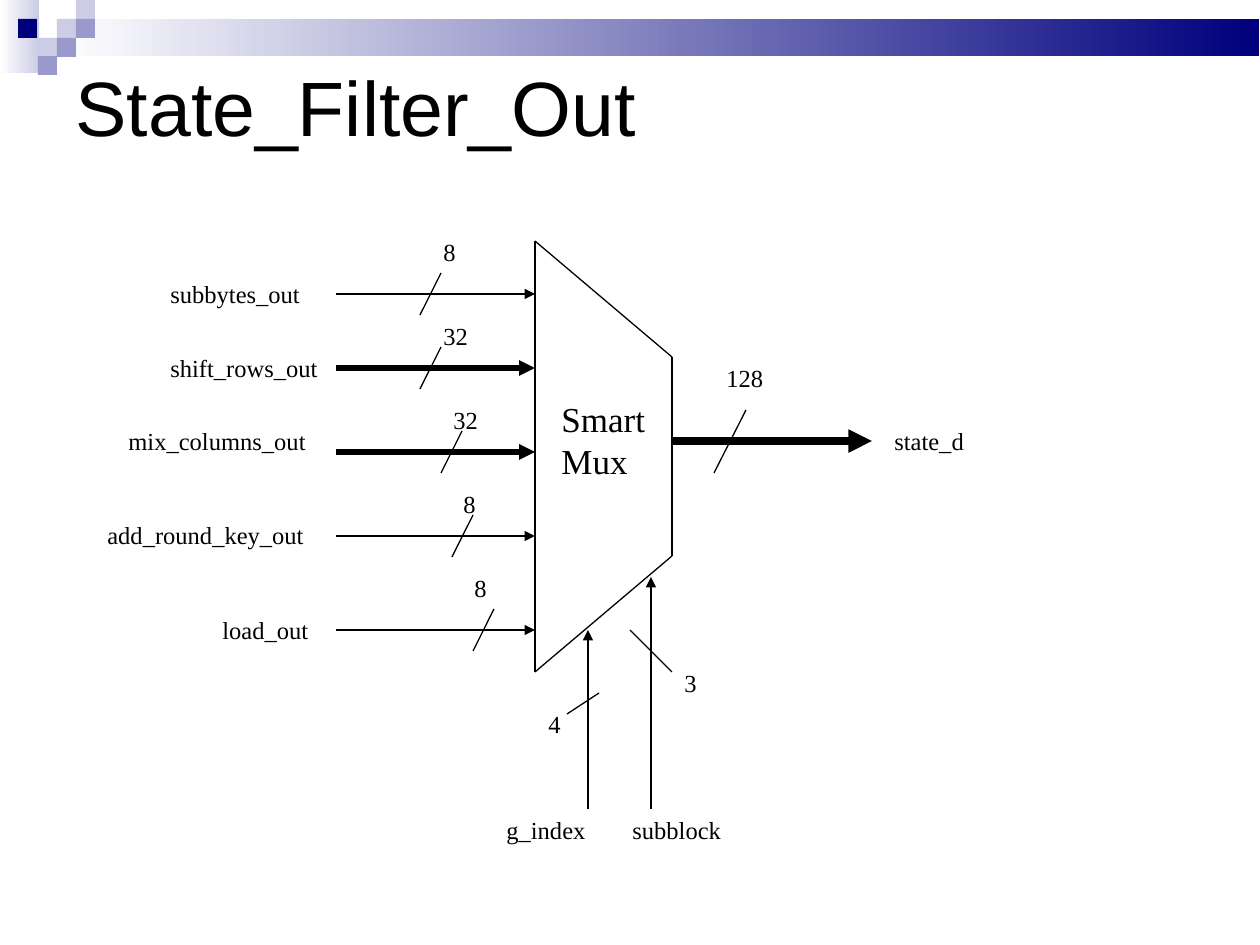
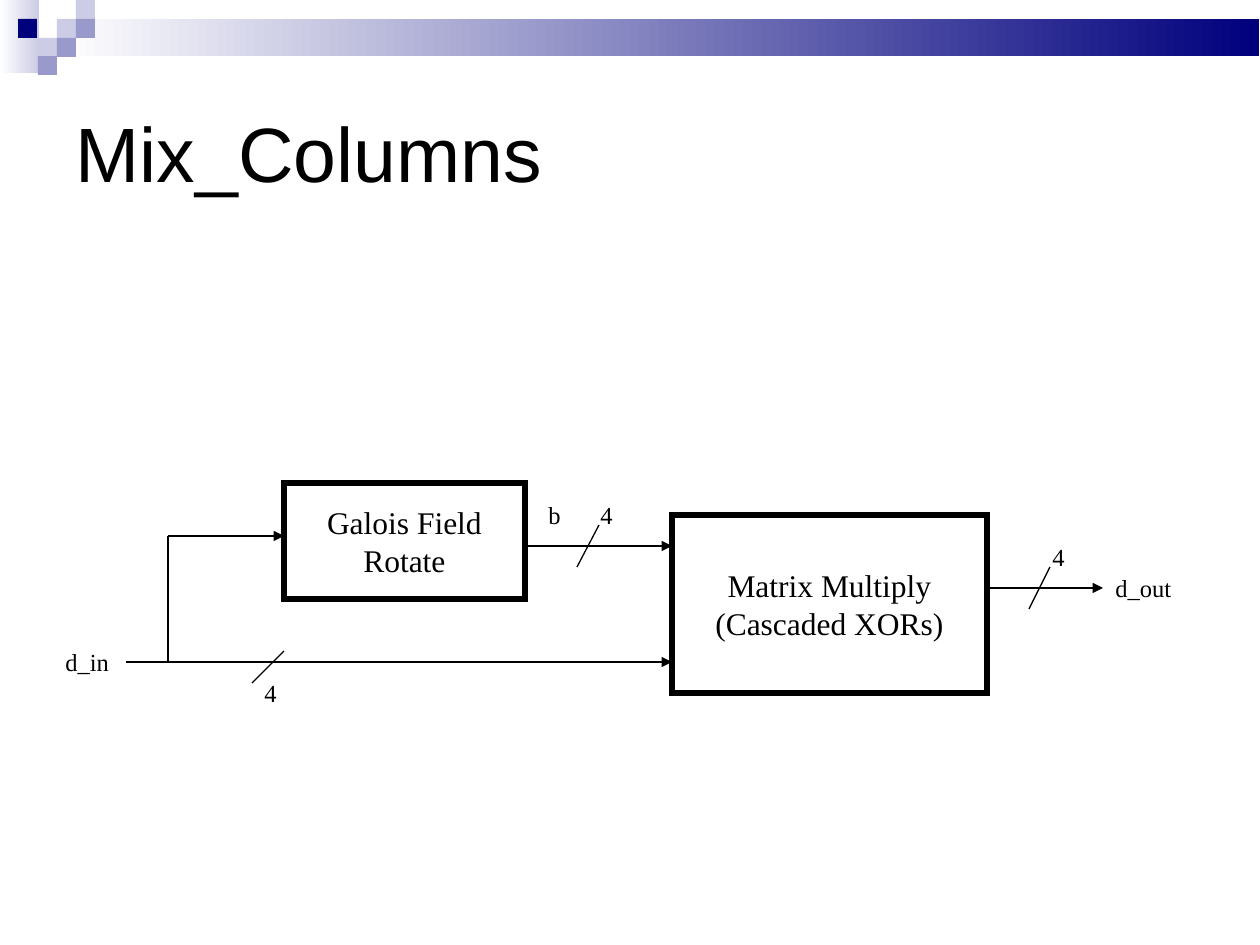
"""Builds two block-diagram slides: the State_Filter_Out mux and Mix_Columns."""
from lxml.etree import SubElement
from pptx import Presentation
from pptx.dml.color import RGBColor
from pptx.enum.shapes import MSO_CONNECTOR, MSO_SHAPE
from pptx.enum.text import MSO_ANCHOR, MSO_AUTO_SIZE, PP_ALIGN
from pptx.oxml.ns import qn
from pptx.util import Pt

PX = 914400 / 126
COLORS = {"ink": "000000", "paper": "FFFFFF", "navy": "00007D", "mid": "9999CC", "pale": "CCCCE6"}
TITLE_FONT, BODY_FONT = "Arial", "Times New Roman"
THIN, BUS, WIDE = 0.75, 3, 4.5
LABEL_H = 43
TILE = 19

FADES = [((0, 0, 39, 73), "pale"), ((57, 19, 1202, 37), "navy")]
TILES = [(57, 19, "pale"), (76, 0, "pale"), (76, 19, "mid"), (38, 38, "pale"),
         (18, 19, "navy"), (57, 38, "mid"), (38, 56, "mid")]

MUX_CORNERS = [(535, 241), (672, 357), (672, 556), (535, 672)]
MUX_INPUTS = [
    {"name": "subbytes_out", "at": (158, 273, 189), "y": 294, "slash": 441, "bits": "8", "bits_x": 431, "pt": THIN},
    {"name": "shift_rows_out", "at": (158, 347, 189), "y": 368, "slash": 441, "bits": "32", "bits_x": 431, "pt": BUS},
    {"name": "mix_columns_out", "at": (116, 420, 231), "y": 452, "slash": 462, "bits": "32", "bits_x": 441, "pt": BUS},
    {"name": "add_round_key_out", "at": (95, 514, 252), "y": 536, "slash": 473, "bits": "8", "bits_x": 451, "pt": THIN},
    {"name": "load_out", "at": (210, 609, 189), "y": 630, "slash": 494, "bits": "8", "bits_x": 462, "pt": THIN},
]
INPUT_X, BITS_TOP, BITS_STEP = 336, 231, 84

FILTER = {
    "title": "State_Filter_Out", "title_top": 38, "blocks": [],
    "arrows": [(588, 809, 588, 630, THIN), (651, 809, 651, 577, THIN), (672, 441, 872, 441, WIDE)],
    "lines": [(599, 693, 567, 714), (630, 630, 672, 672), (746, 410, 714, 473)],
    "labels": [("g_index", 494, 809, 158), ("subblock", 620, 809, 221), ("4", 536, 703, 42),
               ("3", 672, 662, 42), ("128", 714, 357, 116), ("state_d", 882, 420, 252)],
}
MIX = {
    "title": "Mix_Columns", "title_top": 84,
    "blocks": [(["Galois Field", "Rotate"], (284, 483, 241, 116)),
               (["Matrix Multiply", "(Cascaded XORs)"], (672, 515, 315, 178))],
    "arrows": [(126, 662, 672, 662, THIN), (168, 536, 284, 536, THIN),
               (525, 546, 672, 546, THIN), (987, 588, 1103, 588, THIN)],
    "lines": [(168, 662, 168, 536), (284, 651, 252, 683), (599, 525, 577, 567), (1050, 567, 1029, 609)],
    "labels": [("4", 252, 672, 53), ("4", 1040, 536, 53), ("4", 588, 494, 53), ("b", 536, 494, 53),
               ("d_in", 53, 641, 95), ("d_out", 1103, 567, 95)],
}


def px(*lengths):
    return [round(n * PX) for n in lengths]


def rgb(name):
    return RGBColor.from_string(COLORS[name])


def write(tf, lines, size, font=BODY_FONT, align=PP_ALIGN.LEFT, before=None, spacing=None):
    for i, line in enumerate(lines):
        p = tf.paragraphs[0] if i == 0 else tf.add_paragraph()
        p.alignment = align
        if before is not None:
            p.space_before = Pt(before)
        if spacing is not None:
            p.line_spacing = spacing
        r = p.add_run()
        r.text = line
        r.font.size, r.font.name = Pt(size), font
        r.font.color.rgb = rgb("ink")


def add_box(s, at, fill, fade=False):
    sp = s.shapes.add_shape(MSO_SHAPE.RECTANGLE, *px(*at))
    sp.shadow.inherit = False
    sp.line.fill.background()
    if fade:
        sp.fill.gradient()
        sp.fill.gradient_angle = 180
        for stop, color, position in zip(sp.fill.gradient_stops, (fill, "paper"), (0, 1)):
            stop.color.rgb, stop.position = rgb(color), position
    else:
        sp.fill.solid()
        sp.fill.fore_color.rgb = rgb(fill)
    return sp


def add_block(s, lines, at):
    sp = add_box(s, at, "paper")
    sp.line.color.rgb, sp.line.width = rgb("ink"), Pt(BUS)
    SubElement(sp.element.spPr.find(qn("a:ln")), qn("a:miter"), lim="800000")
    tf = sp.text_frame
    tf.word_wrap, tf.vertical_anchor = False, MSO_ANCHOR.MIDDLE
    write(tf, lines, 18, align=PP_ALIGN.CENTER)


def add_line(s, x1, y1, x2, y2, pt=THIN, arrow=False):
    c = s.shapes.add_connector(MSO_CONNECTOR.STRAIGHT, *px(x1, y1, x2, y2))
    c.line.color.rgb, c.line.width = rgb("ink"), Pt(pt)
    if arrow:
        SubElement(c.element.spPr.find(qn("a:ln")), qn("a:tailEnd"), type="triangle")
    SubElement(c.element.spPr, qn("a:effectLst"))


def add_text(s, lines, at, size, before=None):
    tf = s.shapes.add_textbox(*px(*at)).text_frame
    tf.word_wrap, tf.auto_size = True, MSO_AUTO_SIZE.SHAPE_TO_FIT_TEXT
    write(tf, lines, size, before=before)


def add_label(s, text, x, y, w):
    add_text(s, [text], (x, y, w, LABEL_H), 14, before=8.8)


def decorate(layout, s):
    """Draws the header band on a slide and moves it to the shared layout."""
    for ph in list(layout.placeholders):
        if ph.placeholder_format.idx >= 10:
            ph.element.getparent().remove(ph.element)
    band = [add_box(s, at, fill, fade=True) for at, fill in FADES]
    band += [add_box(s, (x, y, TILE, TILE), fill) for x, y, fill in TILES]
    for sp in band:
        layout.shapes.element.append(sp.element)


def add_diagram(s, d):
    title = s.shapes.title
    title.left, title.top, title.width, title.height = px(63, d["title_top"], 1134, 158)
    tf = title.text_frame
    tf.auto_size, tf.vertical_anchor = MSO_AUTO_SIZE.NONE, MSO_ANCHOR.MIDDLE
    write(tf, [d["title"]], 44, TITLE_FONT, spacing=0.71)
    for lines, at in d["blocks"]:
        add_block(s, lines, at)
    for *ends, pt in d["arrows"]:
        add_line(s, *ends, pt, arrow=True)
    for ends in d["lines"]:
        add_line(s, *ends)
    for label in d["labels"]:
        add_label(s, *label)


def add_mux(s):
    for start, end in zip(MUX_CORNERS, MUX_CORNERS[1:] + MUX_CORNERS[:1]):
        add_line(s, *start, *end)
    add_text(s, ["Smart", "Mux"], (549, 391, 120, 97), 20)
    for i, wire in enumerate(MUX_INPUTS):
        y, x = wire["y"], wire["slash"]
        add_line(s, INPUT_X, y, MUX_CORNERS[0][0], y, wire["pt"], arrow=True)
        add_line(s, x, y - 21, x - 21, y + 21)
        add_label(s, wire["name"], *wire["at"])
        add_label(s, wire["bits"], wire["bits_x"], BITS_TOP + i * BITS_STEP, 53)


def main():
    prs = Presentation()
    prs.slide_width, prs.slide_height = px(1260, 945)
    layout = prs.slide_layouts[5]
    filter_slide, mix_slide = [prs.slides.add_slide(layout) for _ in range(2)]
    decorate(layout, filter_slide)
    add_diagram(filter_slide, FILTER)
    add_mux(filter_slide)
    add_diagram(mix_slide, MIX)
    prs.save("out.pptx")


if __name__ == "__main__":
    main()
